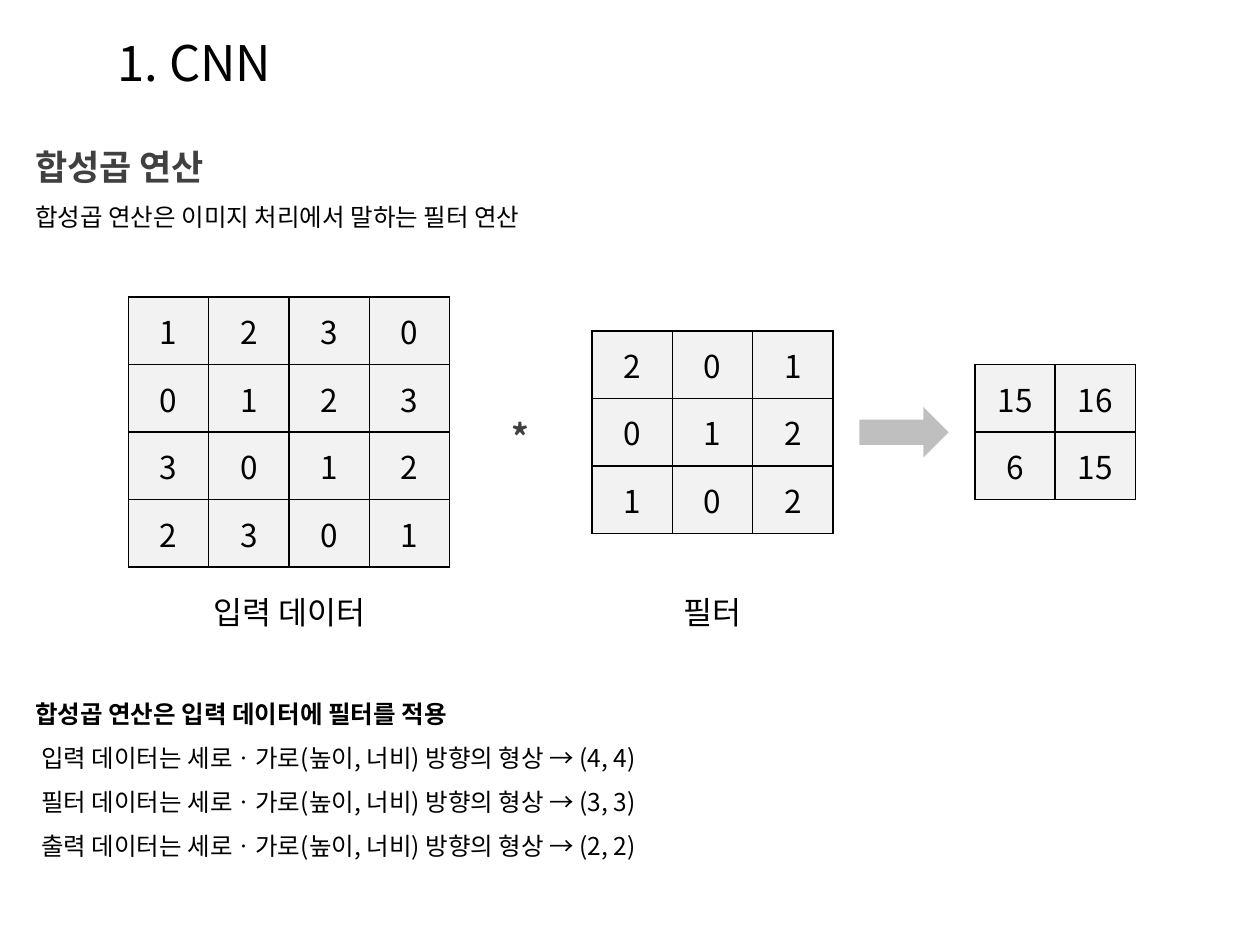
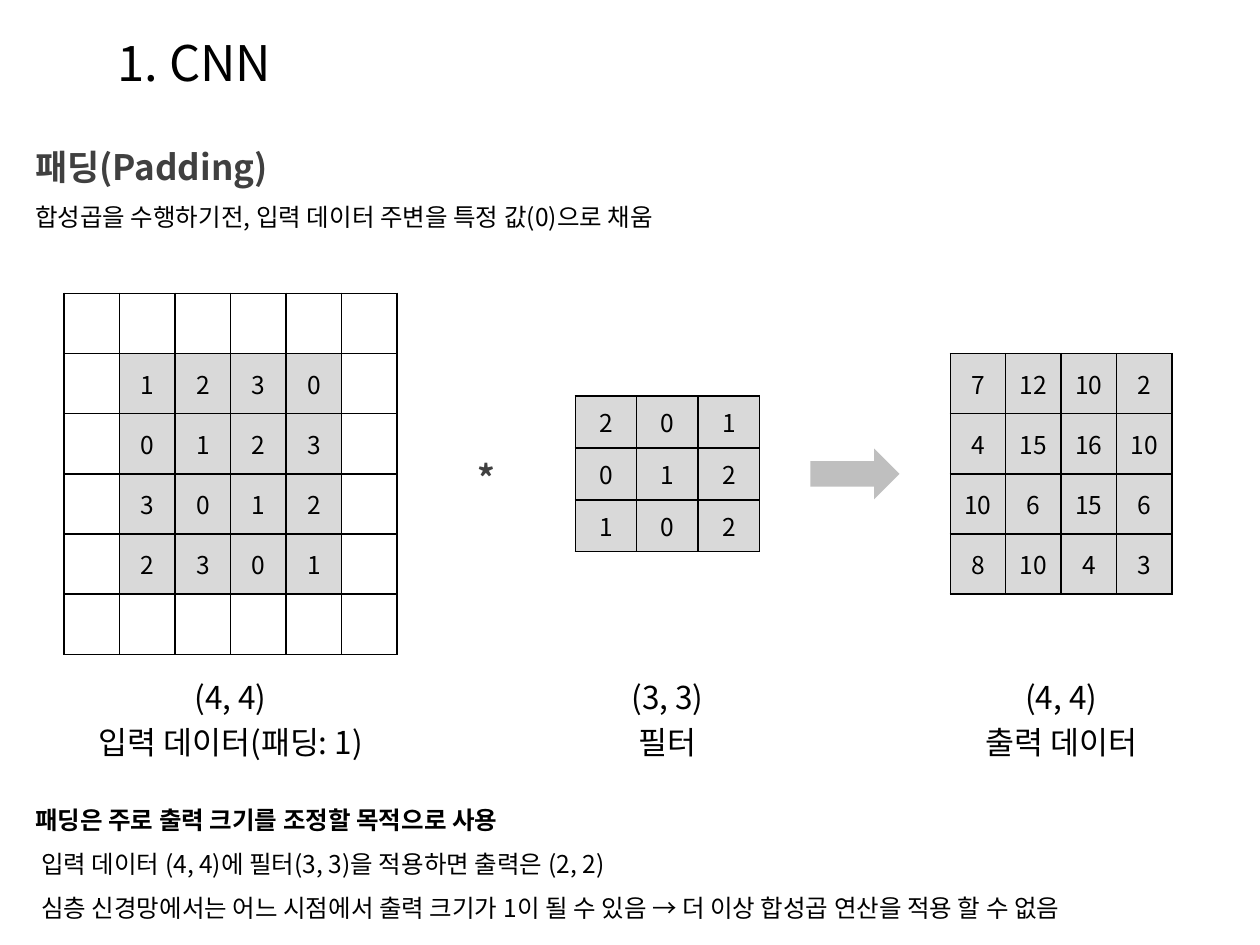
import pptx
import pptx.dml.color
import pptx.enum.shapes
import pptx.enum.text
import pptx.oxml.ns
import pptx.util
from lxml import etree

Pt = pptx.util.Pt
RGB = pptx.dml.color.RGBColor
ALIGN = pptx.enum.text.PP_ALIGN
MID = pptx.enum.text.MSO_ANCHOR.MIDDLE
TOP = pptx.enum.text.MSO_ANCHOR.TOP
qn = pptx.oxml.ns.qn

# Shared look
FONT = "Noto Sans CJK KR"
BLACK = RGB(0, 0, 0)
DARK = RGB(0x40, 0x40, 0x40)
SILVER = RGB(0xBF, 0xBF, 0xBF)
PALE = RGB(0xF2, 0xF2, 0xF2)
GREY = RGB(0xD9, 0xD9, 0xD9)
LEFT, WIDE = 20, 680

# Content
TITLE = "1. CNN"
INPUT = [[1, 2, 3, 0], [0, 1, 2, 3], [3, 0, 1, 2], [2, 3, 0, 1]]
FILTER = [[2, 0, 1], [0, 1, 2], [1, 0, 2]]


def pad(grid):
    """Ring a grid with one layer of empty cells."""
    blank = [None] * (len(grid[0]) + 2)
    return [blank] + [[None, *row, None] for row in grid] + [blank]


# A grid is: values, centre x, cell width, cell height, caption lines
PAGES = [
    dict(
        head="합성곱 연산",
        intro="합성곱 연산은 이미지 처리에서 말하는 필터 연산",
        grids=[
            (INPUT, 165.2, 45.9, 38.6, ["입력 데이터"]),
            (FILTER, 407.1, 45.9, 38.6, ["필터"]),
            ([[15, 16], [6, 15]], 603, 45.9, 38.6, []),
        ],
        fill=PALE, size=18, mid=247, star=297.4, arrow=516.6,
        label=(334.8, 145.4),
        notes=(391, [
            "합성곱 연산은 입력 데이터에 필터를 적용",
            "입력 데이터는 세로ㆍ가로(높이, 너비) 방향의 형상 → (4, 4)",
            "필터 데이터는 세로ㆍ가로(높이, 너비) 방향의 형상 → (3, 3)",
            "출력 데이터는 세로ㆍ가로(높이, 너비) 방향의 형상 → (2, 2)",
        ]),
    ),
    dict(
        head="패딩(Padding)",
        intro="합성곱을 수행하기전, 입력 데이터 주변을 특정 값(0)으로 채움",
        grids=[
            (pad(INPUT), 131.8, 31.7, 34.4, ["(4, 4)", "입력 데이터(패딩: 1)"]),
            (FILTER, 381.4, 35.1, 29.6, ["(3, 3)", "필터"]),
            ([[7, 12, 10, 2], [4, 15, 16, 10], [10, 6, 15, 6], [8, 10, 4, 3]],
             606.4, 31.7, 34.4, ["(4, 4)", "출력 데이터"]),
        ],
        fill=GREY, size=14, mid=270.8, star=277.9, arrow=488.5,
        label=(383, 190),
        notes=(451.4, [
            "패딩은 주로 출력 크기를 조정할 목적으로 사용",
            "입력 데이터 (4, 4)에 필터(3, 3)을 적용하면 출력은 (2, 2)",
            "심층 신경망에서는 어느 시점에서 출력 크기가 1이 될 수 있음 → "
            "더 이상 합성곱 연산을 적용 할 수 없음",
        ]),
    ),
]


def write(frame, lines, size=14, color=BLACK, bold=False, lead=False,
          align=ALIGN.LEFT, space=1.0, dent=0):
    """Fill a text frame; with lead, only the first line is bold and flush."""
    for i, line in enumerate(lines):
        para = frame.paragraphs[0] if i == 0 else frame.add_paragraph()
        para.alignment = align
        para.line_spacing = space
        para.space_before = Pt(0)
        props = para._p.get_or_add_pPr()
        props.set("marL", str(Pt(dent if i else 0)))
        props.set("indent", "0")
        etree.SubElement(props, qn("a:buNone"))
        run = para.add_run()
        run.text = line
        font = run.font
        font.name, font.size = FONT, Pt(size)
        font.bold = bold or (lead and i == 0)
        font.color.rgb = color
        etree.SubElement(run._r.get_or_add_rPr(), qn("a:ea"), typeface=FONT)


def place(shape, x, y, w, h):
    shape.left, shape.top, shape.width, shape.height = map(Pt, (x, y, w, h))


def fit(shape, inset=0, anchor=TOP):
    """Set wrapping, insets and anchor of a text shape."""
    frame = shape.text_frame
    frame.word_wrap = True
    frame.auto_size = pptx.enum.text.MSO_AUTO_SIZE.NONE
    frame.vertical_anchor = anchor
    frame.margin_left = frame.margin_right = Pt(inset)
    frame.margin_top = frame.margin_bottom = Pt(inset / 2)
    return frame


def add_text(slide, x, y, w, h, lines, **form):
    box = slide.shapes.add_textbox(Pt(x), Pt(y), Pt(w), Pt(h))
    write(fit(box), lines, **form)


def edge(cell):
    """Draw a thin black line on all four sides of a cell."""
    props = cell._tc.get_or_add_tcPr()
    for side in "LRTB":
        line = etree.SubElement(props, qn("a:ln" + side), w=str(Pt(1)))
        paint = etree.SubElement(line, qn("a:solidFill"))
        etree.SubElement(paint, qn("a:srgbClr"), val=str(BLACK))


def add_grid(slide, rows, x, mid, w, h, fill, size):
    """Draw a number grid centred on (x, mid)."""
    high, wide = len(rows), len(rows[0])
    table = slide.shapes.add_table(
        high, wide, Pt(x - wide * w / 2), Pt(mid - high * h / 2),
        Pt(wide * w), Pt(high * h)).table
    table.first_row = table.horz_banding = False
    for col in table.columns:
        col.width = Pt(w)
    for row, vals in zip(table.rows, rows):
        row.height = Pt(h)
        for cell, val in zip(row.cells, vals):
            cell.vertical_anchor = MID
            cell.margin_left = cell.margin_right = Pt(5.8)
            cell.margin_top = cell.margin_bottom = Pt(2.9)
            edge(cell)
            if val is None:
                cell.fill.background()
                continue
            cell.fill.solid()
            cell.fill.fore_color.rgb = fill
            write(cell.text_frame, [str(val)], size=size, align=ALIGN.CENTER)


def add_arrow(slide, x, mid):
    kind = pptx.enum.shapes.MSO_SHAPE.RIGHT_ARROW
    arrow = slide.shapes.add_shape(
        kind, Pt(x - 25.5), Pt(mid - 14.5), Pt(51), Pt(29))
    arrow.shadow.inherit = False
    arrow.fill.solid()
    arrow.fill.fore_color.rgb = SILVER
    arrow.line.fill.background()


def build(deck, page):
    slide = deck.slides.add_slide(deck.slide_layouts[1])
    title, body = slide.placeholders

    # Title, heading and intro
    place(title, 60, 15, 538.5, 41)
    write(fit(title, 7.2, MID), [TITLE], size=28)
    add_text(slide, LEFT, 71.3, WIDE, 36, [page["head"]],
             size=20, color=DARK, bold=True, space=1.5)
    add_text(slide, LEFT, 107.3, WIDE, 25, [page["intro"]], space=1.5)

    # Grids with captions
    mid = page["mid"]
    top, span = page["label"]
    for rows, x, w, h, label in page["grids"]:
        add_grid(slide, rows, x, mid, w, h, page["fill"], page["size"])
        if label:
            add_text(slide, x - span / 2, top, span, 26 * len(label), label,
                     size=18, align=ALIGN.CENTER, space=1.2)

    # Operator and arrow
    add_text(slide, page["star"] - 36.7, mid - 14.5, 73.4, 29, ["*"], size=20,
             color=DARK, bold=True, align=ALIGN.CENTER, space=1.2)
    add_arrow(slide, page["arrow"], mid)

    # Notes below
    top, lines = page["notes"]
    place(body, LEFT, top, WIDE, 25 * len(lines))
    write(fit(body), lines, lead=True, space=1.5, dent=3.5)


def main():
    deck = pptx.Presentation()
    deck.slide_width, deck.slide_height = Pt(720), Pt(540)
    for page in PAGES:
        build(deck, page)
    deck.save("out.pptx")


if __name__ == "__main__":
    main()
